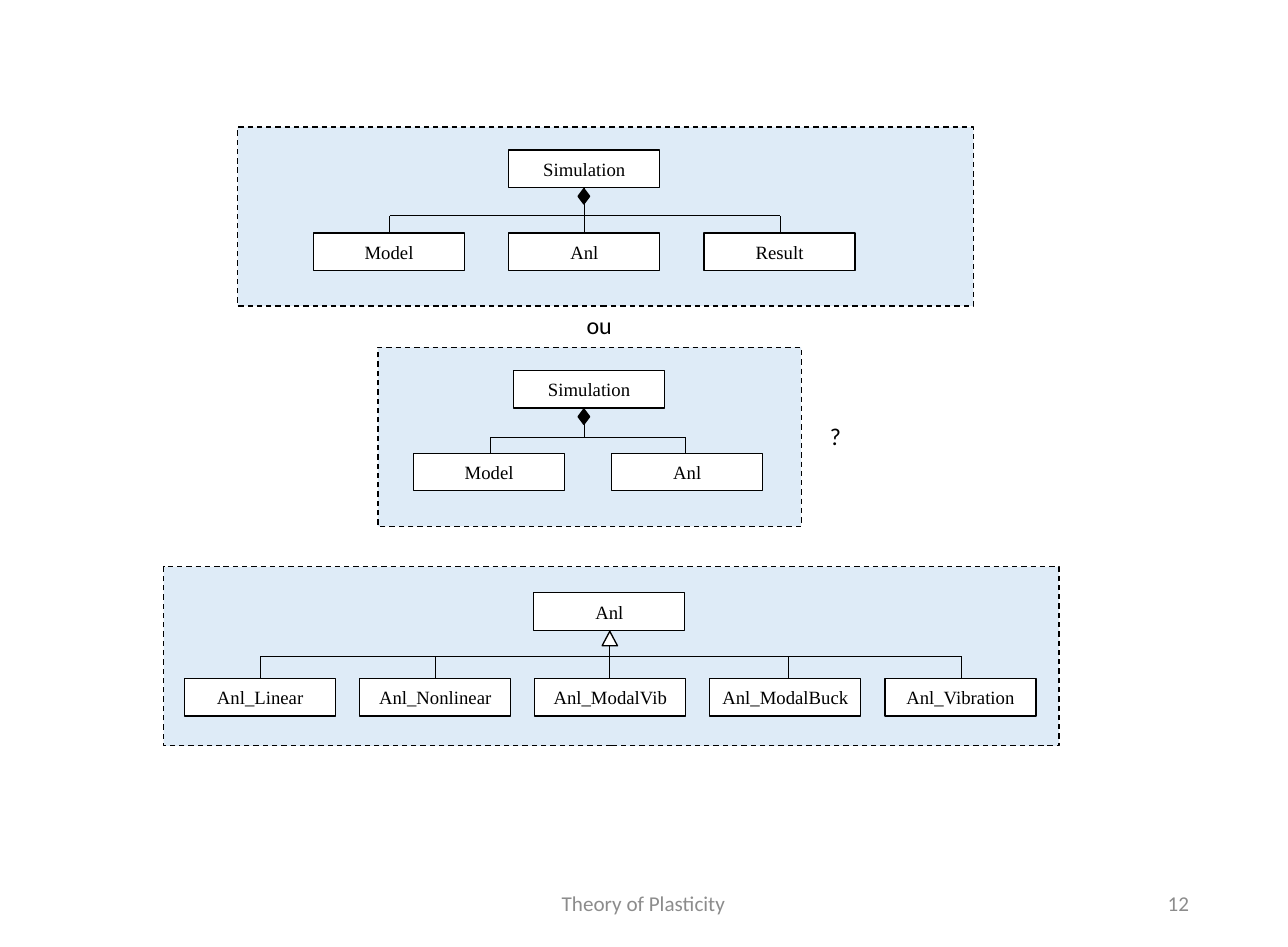
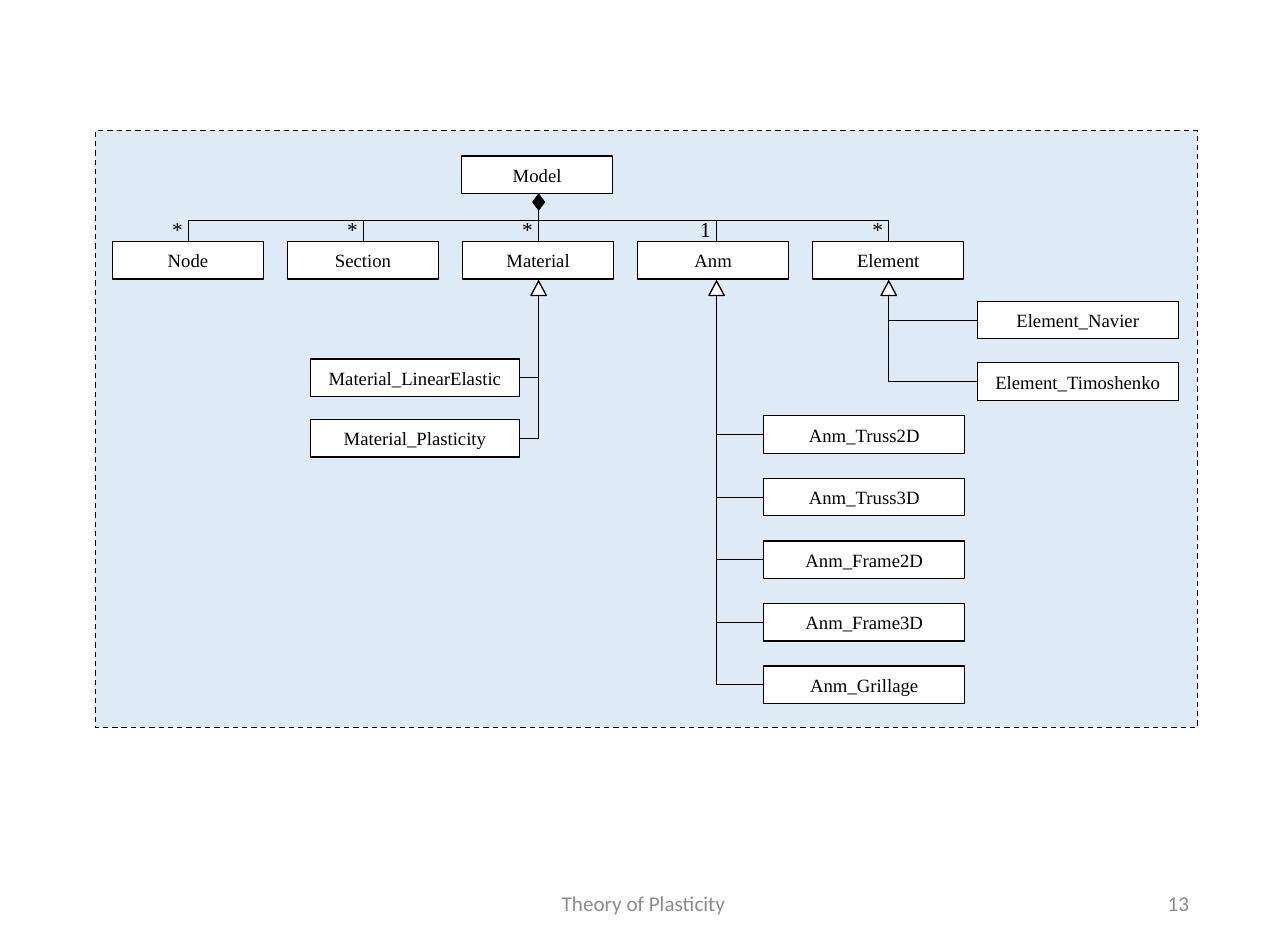
from pptx import Presentation
from pptx import util as u
from pptx.dml.color import RGBColor
from pptx.enum import dml, shapes, text
from pptx.oxml.ns import qn
from lxml import etree

INK, PALE, WHITE, GREY = "000000", "DEEBF7", "FFFFFF", "8C8C8C"
SERIF, SANS = "Times New Roman", "Calibri"
BOX_W, BOX_H = 1.57, 0.39
FOOTER = "Theory of Plasticity"
KIND, ALIGN = shapes.MSO_SHAPE, text.PP_ALIGN

# Marks under a parent box: preset, width, height, fill
MARKS = {
    "whole": (KIND.DIAMOND, 0.12, 0.16, INK),
    "base": (KIND.ISOSCELES_TRIANGLE, 0.16, 0.15, WHITE),
}

# Trees: kids are (name, x of its drop line, multiplicity)
SLIDES = [
    dict(
        number="12",
        panels=[(1.7, 5.89, 9.31, 1.86), (2.47, 1.32, 7.65, 1.86),
                (3.93, 3.61, 4.4, 1.86)],
        trees=[
            dict(root="Simulation", at=(5.29, 1.56), mark="whole", stem=6.07,
                 bus=2.24, left=3.26, top=2.42, pitch=2.03,
                 kids=[("Model", 4.05, ""), ("Anl", 6.07, ""),
                       ("Result", 8.11, "")]),
            dict(root="Simulation", at=(5.34, 3.85), mark="whole", stem=6.07,
                 bus=4.54, left=4.3, top=4.71, pitch=2.06,
                 kids=[("Model", 5.1, ""), ("Anl", 7.13, "")]),
            dict(root="Anl", at=(5.55, 6.16), mark="base", stem=6.34,
                 bus=6.82, left=1.92, top=7.05, pitch=1.82,
                 kids=[("Anl_Linear", 2.71, ""), ("Anl_Nonlinear", 4.53, ""),
                       ("Anl_ModalVib", 6.34, ""), ("Anl_ModalBuck", 8.2, ""),
                       ("Anl_Vibration", 9.99, "")]),
        ],
        ranks=[],
        notes=[("ou", 6, 3.18), ("?", 8.53, 4.33)],
    ),
    dict(
        number="13",
        panels=[(0.99, 1.36, 11.46, 6.2)],
        trees=[
            dict(root="Model", at=(4.8, 1.62), mark="whole", stem=5.6,
                 bus=2.29, left=1.17, top=2.51, pitch=1.82,
                 kids=[("Node", 1.96, "*"), ("Section", 3.78, "*"),
                       ("Material", 5.6, "*"), ("Anm", 7.45, "1"),
                       ("Element", 9.24, "*")]),
        ],
        # Subclasses stacked beside a vertical stem
        ranks=[
            dict(stem=5.6, start=2.9, left=3.23, top=3.73, wide=2.17, pitch=0.63,
                 names=["Material_LinearElastic", "Material_Plasticity"]),
            dict(stem=7.45, start=2.9, left=7.94, top=4.32, wide=2.09, pitch=0.65,
                 names=["Anm_Truss2D", "Anm_Truss3D", "Anm_Frame2D",
                        "Anm_Frame3D", "Anm_Grillage"]),
            dict(stem=9.24, start=2.9, left=10.16, top=3.13, wide=2.09, pitch=0.64,
                 names=["Element_Navier", "Element_Timoshenko"]),
        ],
        notes=[],
    ),
]


def color(code):
    return RGBColor.from_string(code)


def inches(*sizes):
    return [u.Inches(s) for s in sizes]


def write(frame, words, size, font, ink=INK, align=ALIGN.LEFT):
    para = frame.paragraphs[0]
    para.text, para.alignment = words, align
    para.font.size, para.font.name = u.Pt(size), font
    para.font.color.rgb = color(ink)


def shape(slide, kind, x, y, w, h, fill):
    form = slide.shapes.add_shape(kind, *inches(x, y, w, h))
    form.shadow.inherit = False
    form.fill.solid()
    form.fill.fore_color.rgb = color(fill)
    form.line.color.rgb = color(INK)
    form.line.width = u.Pt(1)
    return form


def box(slide, name, x, y, w=BOX_W):
    frame = shape(slide, KIND.RECTANGLE, x, y, w, BOX_H, WHITE).text_frame
    frame.margin_left = frame.margin_right = 0
    frame.vertical_anchor = text.MSO_ANCHOR.MIDDLE
    write(frame, name, 14, SERIF, align=ALIGN.CENTER)


def line(slide, x1, y1, x2, y2):
    rule = slide.shapes.add_connector(
        shapes.MSO_CONNECTOR.STRAIGHT, *inches(x1, y1, x2, y2))
    rule.line.color.rgb = color(INK)
    rule.line.width = u.Pt(0.5)
    etree.SubElement(rule._element.spPr, qn("a:effectLst"))


def label(slide, words, x, y, w, h, size, font, ink=INK, align=ALIGN.LEFT):
    frame = slide.shapes.add_textbox(*inches(x, y, w, h)).text_frame
    frame.word_wrap = True
    write(frame, words, size, font, ink, align)
    return frame


def mark(slide, kind, x, y):
    preset, w, h, fill = MARKS[kind]
    shape(slide, preset, x - w / 2, y, w, h, fill)


def tree(slide, root, at, mark_kind, stem, bus, left, top, pitch, kids):
    foot = at[1] + BOX_H
    box(slide, root, *at)
    line(slide, stem, foot, stem, bus)
    line(slide, kids[0][1], bus, kids[-1][1], bus)
    for i, (name, drop, count) in enumerate(kids):
        box(slide, name, left + i * pitch, top)
        line(slide, drop, top, drop, bus)
        if count:
            label(slide, count, drop - 0.27, 2.2, 0.27, 0.37, 16, SERIF)
    mark(slide, mark_kind, stem, foot + 0.01)


def rank(slide, stem, start, left, top, wide, pitch, names):
    edge = left if left > stem else left + wide
    for i, name in enumerate(names):
        y = top + i * pitch
        mid = y + BOX_H / 2
        box(slide, name, left, y, wide)
        line(slide, stem, mid, edge, mid)
    line(slide, stem, mid, stem, start)
    mark(slide, "base", stem, start + 0.02)


def footer(slide, number):
    for words, x, w, align in ((FOOTER, 4.43, 4.52, ALIGN.CENTER),
                               (number, 9.45, 3.01, ALIGN.RIGHT)):
        frame = label(slide, words, x, 9.12, w, 0.52, 15.8, SANS, GREY, align)
        frame.vertical_anchor = text.MSO_ANCHOR.MIDDLE


def main():
    deck = Presentation()
    deck.slide_width, deck.slide_height = inches(13.39, 9.84)
    for page in SLIDES:
        slide = deck.slides.add_slide(deck.slide_layouts[6])
        for area in page["panels"]:
            panel = shape(slide, KIND.RECTANGLE, *area, PALE)
            panel.line.dash_style = dml.MSO_LINE.DASH
        for plan in page["trees"]:
            tree(slide, *plan_parts(plan))
        for plan in page["ranks"]:
            rank(slide, **plan)
        for words, x, y in page["notes"]:
            label(slide, words, x, y, 1.14, 0.4, 18, SANS)
        footer(slide, page["number"])
    deck.save("out.pptx")


def plan_parts(plan):
    keys = ("root", "at", "mark", "stem", "bus", "left", "top", "pitch", "kids")
    return [plan[key] for key in keys]


if __name__ == "__main__":
    main()
